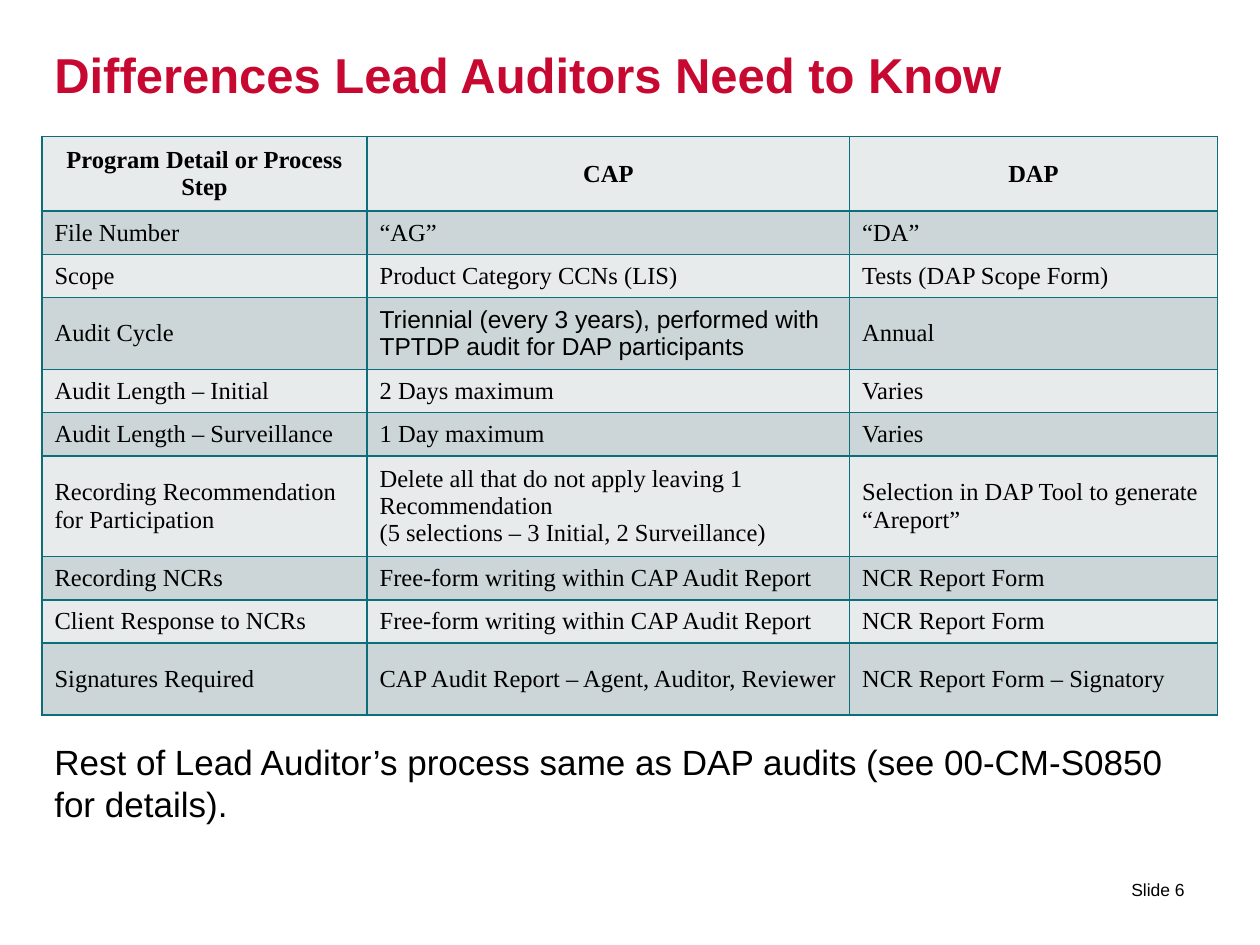
from dataclasses import dataclass

from lxml import etree
from pptx import Presentation
from pptx.dml.color import RGBColor
from pptx.enum.text import MSO_ANCHOR, PP_ALIGN
from pptx.oxml.ns import qn
from pptx.util import Emu, Inches, Pt

LEFT, CENTER, RIGHT = PP_ALIGN.LEFT, PP_ALIGN.CENTER, PP_ALIGN.RIGHT
TOP, MIDDLE = MSO_ANCHOR.TOP, MSO_ANCHOR.MIDDLE
SLIDE_WIDTH, SLIDE_HEIGHT = Inches(10), Inches(7.5)
SANS, SERIF = "Arial", "Times New Roman"
COLORS = {
    "title": "C70932",
    "text": "000000",
    "border": "0C6E7A",
    "light": "E7EBEC",
    "dark": "CCD5D7",
}


@dataclass(frozen=True)
class Caption:
    text: str
    left: float
    top: float
    width: float
    height: float
    size: int
    color: str = "text"
    bold: bool = False
    align: PP_ALIGN = LEFT
    anchor: MSO_ANCHOR = TOP


@dataclass(frozen=True)
class Row:
    height: float
    detail: str
    cap: str
    dap: str
    cap_font: str = SERIF


MARGIN = 3.33
CAPTIONS = [
    Caption("Differences Lead Auditors Need to Know",
            MARGIN, 4, 91.7, 10.4, 28, color="title", bold=True),
    Caption("Rest of Lead Auditor’s process same as DAP audits "
            "(see 00-CM-S0850 for details).", MARGIN, 77.75, 93.3, 11.6, 20),
    Caption("Slide 6", 88, 91.45, 7, 5.33, 10, align=RIGHT, anchor=MIDDLE),
]

TABLE_TOP = 14.43
COLUMN_SHARES = (25.8, 38.3, 29.2)
SINGLE, DOUBLE, TRIPLE, HEADER = 4.58, 7.58, 10.67, 7.92
ROWS = [
    Row(HEADER, "Program Detail or Process Step", "CAP", "DAP"),
    Row(SINGLE, "File Number", "“AG”", "“DA”"),
    Row(SINGLE, "Scope", "Product Category CCNs (LIS)", "Tests (DAP Scope Form)"),
    Row(DOUBLE, "Audit Cycle",
        "Triennial (every 3 years), performed with TPTDP audit for DAP participants",
        "Annual", cap_font=SANS),
    Row(SINGLE, "Audit Length – Initial", "2 Days maximum", "Varies"),
    Row(SINGLE, "Audit Length – Surveillance", "1 Day maximum", "Varies"),
    Row(TRIPLE, "Recording Recommendation for Participation",
        "Delete all that do not apply leaving 1 Recommendation\n"
        "(5 selections – 3 Initial, 2 Surveillance)",
        "Selection in DAP Tool to generate “Areport”"),
    Row(SINGLE, "Recording NCRs",
        "Free-form writing within CAP Audit Report", "NCR Report Form"),
    Row(SINGLE, "Client Response to NCRs",
        "Free-form writing within CAP Audit Report", "NCR Report Form"),
    Row(DOUBLE, "Signatures Required",
        "CAP Audit Report – Agent, Auditor, Reviewer", "NCR Report Form – Signatory"),
]


def across(percent: float) -> Emu:
    return Emu(round(SLIDE_WIDTH * percent / 100))


def down(percent: float) -> Emu:
    return Emu(round(SLIDE_HEIGHT * percent / 100))


def write(frame, text: str, font: str, size: int, color: str, bold: bool,
          align: PP_ALIGN) -> None:
    frame.text = text
    for paragraph in frame.paragraphs:
        paragraph.alignment = align
        paragraph.font.name = font
        paragraph.font.size = Pt(size)
        paragraph.font.bold = bold
        paragraph.font.color.rgb = RGBColor.from_string(COLORS[color])


def draw_caption(slide, caption: Caption) -> None:
    frame = slide.shapes.add_textbox(
        across(caption.left), down(caption.top),
        across(caption.width), down(caption.height)).text_frame
    frame.word_wrap = True
    frame.vertical_anchor = caption.anchor
    write(frame, caption.text, SANS, caption.size, caption.color,
          caption.bold, caption.align)


def add_borders(cell) -> None:
    properties = cell._tc.get_or_add_tcPr()
    for position, side in enumerate(("lnL", "lnR", "lnT", "lnB")):
        line = etree.Element(qn(f"a:{side}"), w=str(Pt(1)))
        fill = etree.SubElement(line, qn("a:solidFill"))
        etree.SubElement(fill, qn("a:srgbClr"), val=COLORS["border"])
        properties.insert(position, line)


def draw_table(slide) -> None:
    table = slide.shapes.add_table(
        len(ROWS), len(COLUMN_SHARES), across(MARGIN), down(TABLE_TOP),
        across(sum(COLUMN_SHARES)), down(sum(row.height for row in ROWS))).table
    for column, share in zip(table.columns, COLUMN_SHARES):
        column.width = across(share)
    for index, row in enumerate(ROWS):
        table.rows[index].height = down(row.height)
        is_header = index == 0
        entries = ((row.detail, SERIF), (row.cap, row.cap_font), (row.dap, SERIF))
        for cell, (text, font) in zip(table.rows[index].cells, entries):
            cell.vertical_anchor = MIDDLE
            cell.fill.solid()
            cell.fill.fore_color.rgb = RGBColor.from_string(
                COLORS["dark" if index % 2 else "light"])
            write(cell.text_frame, text, font, 14, "text", is_header,
                  CENTER if is_header else LEFT)
            add_borders(cell)


def main() -> None:
    presentation = Presentation()
    presentation.slide_width = SLIDE_WIDTH
    presentation.slide_height = SLIDE_HEIGHT
    slide = presentation.slides.add_slide(presentation.slide_layouts[6])
    for caption in CAPTIONS:
        draw_caption(slide, caption)
    draw_table(slide)
    presentation.save("out.pptx")


if __name__ == "__main__":
    main()
